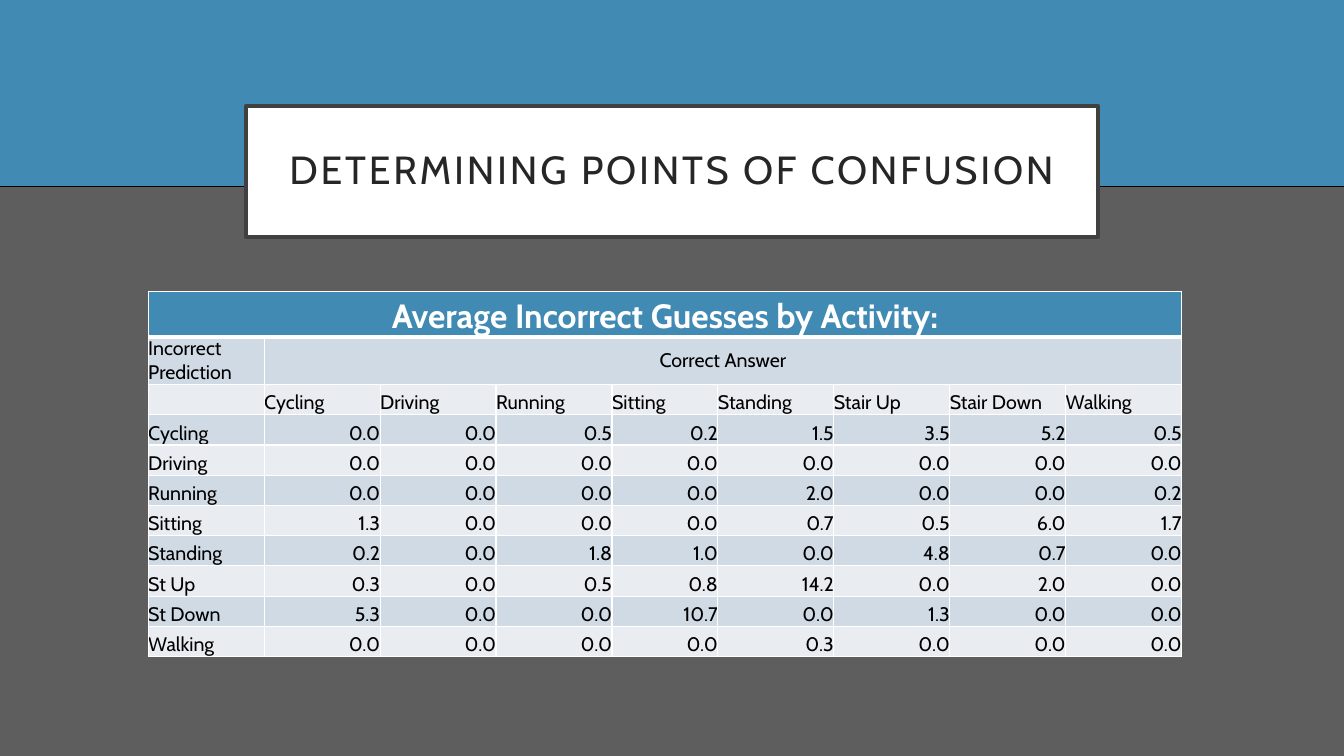
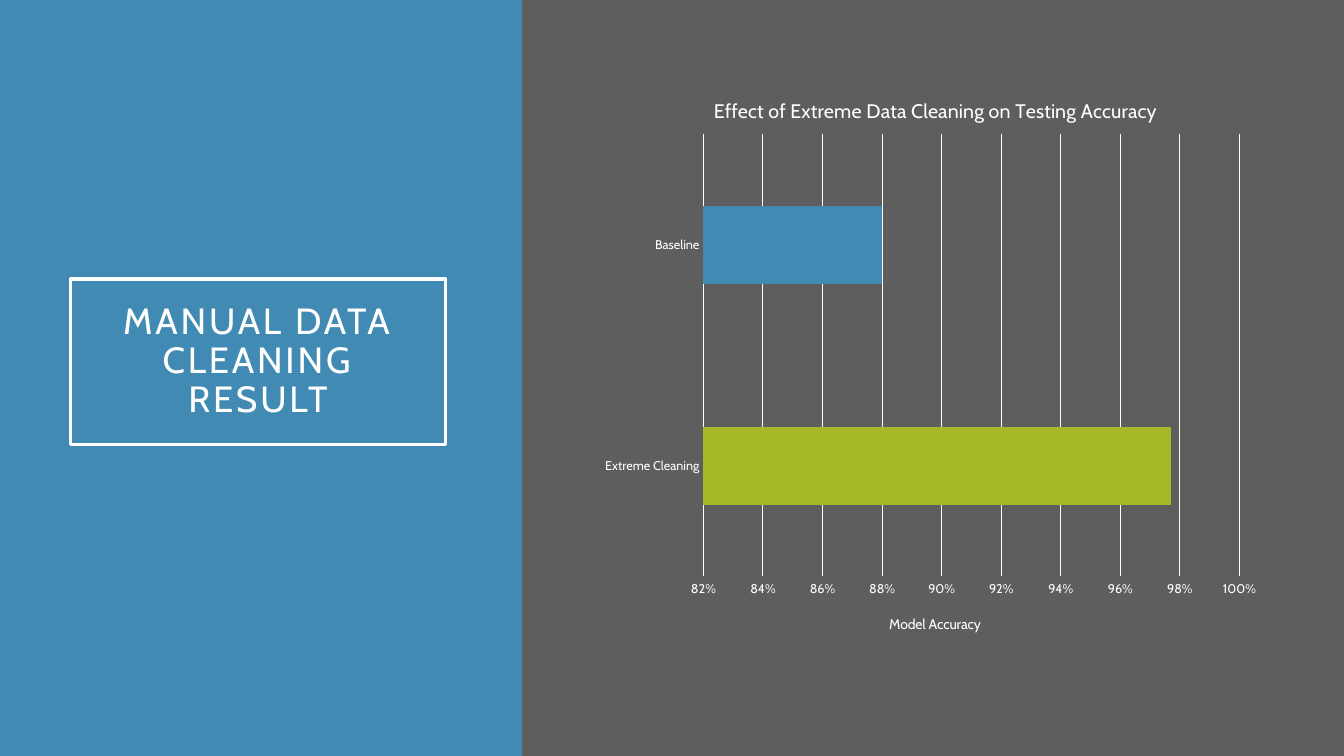
from lxml.etree import SubElement
from pptx import Presentation
from pptx.chart.data import CategoryChartData
from pptx.dml.color import RGBColor
from pptx.enum.chart import XL_CHART_TYPE as CHART, XL_TICK_MARK as TICK
from pptx.enum.shapes import MSO_SHAPE as SHAPE
from pptx.enum.text import MSO_ANCHOR as ANCHOR, MSO_AUTO_SIZE as AUTO, PP_ALIGN as ALIGN
from pptx.oxml.ns import qn
from pptx.oxml.xmlchemy import OxmlElement
from pptx.util import Inches, Pt

FONT = "Cabin"
BLUE, GRAY, GREEN = "418AB3", "5E5E5E", "A6B727"
WHITE, BLACK, DARK, INK = "FFFFFF", "000000", "404040", "262626"
BANDS = ("CFDAE5", "E9EDF2")

ACTIVITIES = ["Cycling", "Driving", "Running", "Sitting", "Standing", "Stair Up", "Stair Down", "Walking"]
GUESSES = [
    ("Cycling", "0.0 0.0 0.5 0.2 1.5 3.5 5.2 0.5"),
    ("Driving", "0.0 0.0 0.0 0.0 0.0 0.0 0.0 0.0"),
    ("Running", "0.0 0.0 0.0 0.0 2.0 0.0 0.0 0.2"),
    ("Sitting", "1.3 0.0 0.0 0.0 0.7 0.5 6.0 1.7"),
    ("Standing", "0.2 0.0 1.8 1.0 0.0 4.8 0.7 0.0"),
    ("St Up", "0.3 0.0 0.5 0.8 14.2 0.0 2.0 0.0"),
    ("St Down", "5.3 0.0 0.0 10.7 0.0 1.3 0.0 0.0"),
    ("Walking", "0.0 0.0 0.0 0.0 0.3 0.0 0.0 0.0"),
]


def rgb(value):
    """Turn a hex string into a colour."""
    return RGBColor.from_string(value)


def fill(target, color):
    """Give a shape, cell, format or background a solid fill."""
    target.fill.solid()
    target.fill.fore_color.rgb = rgb(color)


def outline(line, color, width):
    """Set a line's colour and width in points."""
    line.color.rgb = rgb(color)
    line.width = Pt(width)


def style_font(font, size, color, bold=False):
    """Apply the deck font with a size and colour."""
    font.name, font.size, font.bold = FONT, Pt(size), bold
    font.color.rgb = rgb(color)


def add_slide(prs, color):
    """Add a title-only slide with a plain background."""
    slide = prs.slides.add_slide(prs.slide_layouts[5])
    fill(slide.background, color)
    return slide


def add_panel(slide, left, top, width, height, color, line=None):
    """Add a flat rectangle, outlined when a line colour is given."""
    sp = slide.shapes.add_shape(SHAPE.RECTANGLE, Inches(left), Inches(top), Inches(width), Inches(height))
    sp.shadow.inherit = False
    fill(sp, color)
    if line:
        outline(sp.line, line, 1)
    else:
        sp.line.fill.background()


def set_title(slide, text, box, size, color, line, back=None):
    """Place the framed title above the panels added so far."""
    sp = slide.shapes.title
    slide.shapes._spTree.append(sp._element)
    sp.left, sp.top, sp.width, sp.height = map(Inches, box)
    if back:
        fill(sp, back)
    outline(sp.line, line, 2.5)
    tf = sp.text_frame
    tf.text = text
    tf.word_wrap, tf.auto_size, tf.vertical_anchor = True, AUTO.NONE, ANCHOR.MIDDLE
    tf.margin_left = tf.margin_right = tf.margin_top = tf.margin_bottom = Inches(0.2)
    p = tf.paragraphs[0]
    p.alignment, p.line_spacing = ALIGN.CENTER, 0.9
    r = p.runs[0]
    style_font(r.font, size, color)
    r.font._element.set("spc", "200")


def set_borders(cell, top=1, bottom=1):
    """Draw white borders, with top and bottom widths in points."""
    tc_pr = cell._tc.get_or_add_tcPr()
    for side, width in (("lnL", 1), ("lnR", 1), ("lnT", top), ("lnB", bottom)):
        ln = SubElement(tc_pr, qn(f"a:{side}"), w=str(Pt(width)))
        SubElement(SubElement(ln, qn("a:solidFill")), qn("a:srgbClr"), val=WHITE)


def set_cell(cell, text, align=ALIGN.LEFT, anchor=ANCHOR.BOTTOM, size=14, color=BLACK, bold=False):
    """Write and format one cell without margins."""
    cell.text = text
    cell.vertical_anchor = anchor
    cell.margin_left = cell.margin_right = cell.margin_top = cell.margin_bottom = 0
    p = cell.text_frame.paragraphs[0]
    p.alignment = align
    for r in p.runs:
        style_font(r.font, size, color, bold)
    if not text:
        p._p.get_or_add_endParaRPr().set("sz", str(size * 100))


def add_guess_table(slide):
    """Add the table of average incorrect guesses."""
    rows = [["Average Incorrect Guesses by Activity:"], ["Incorrect Prediction", "Correct Answer"], ["", *ACTIVITIES]]
    rows += [[name, *values.split()] for name, values in GUESSES]
    n_cols = len(ACTIVITIES) + 1
    table = slide.shapes.add_table(
        len(rows), n_cols, Inches(1.47), Inches(2.89), Inches(10.25), Inches(3.45)).table
    for i, col in enumerate(table.columns):
        col.width = Inches(1.05 if i == 4 else 1.15)
    for i, texts in enumerate(rows):
        table.rows[i].height = Inches(0.3 if i else 0.45)
        for j in range(n_cols):
            cell = table.cell(i, j)
            set_borders(cell, top=3 if i == 1 else 1, bottom=1 if i else 3)
            fill(cell, BANDS[(i - 1) % 2] if i else BLUE)
            if j < len(texts):
                set_cell(cell, texts[j], ALIGN.RIGHT if i > 2 and j else ALIGN.LEFT)
    set_cell(table.cell(0, 0), rows[0][0], ALIGN.CENTER, size=24, color=WHITE, bold=True)
    set_cell(table.cell(1, 1), rows[1][1], ALIGN.CENTER, ANCHOR.MIDDLE)
    table.cell(0, 0).merge(table.cell(0, n_cols - 1))
    table.cell(1, 1).merge(table.cell(1, n_cols - 1))


def place(element, **fractions):
    """Fix a chart part's position as fractions of the chart."""
    layout = element.find(qn("c:layout"))
    if layout is None:
        layout = OxmlElement("c:layout")
        element.insert(0 if element.find(qn("c:tx")) is None else 1, layout)
    manual = SubElement(layout, qn("c:manualLayout"))
    if "w" in fractions:
        SubElement(manual, qn("c:layoutTarget"), val="inner")
    for axis in "xy":
        SubElement(manual, qn(f"c:{axis}Mode"), val="edge")
    for key, value in fractions.items():
        SubElement(manual, qn(f"c:{key}"), val=str(value))


def set_chart_title(title, text, size, x, y):
    """Write, format and place a chart or axis title."""
    title.text_frame.text = text
    style_font(title.text_frame.paragraphs[0].runs[0].font, size, WHITE)
    place(title._element, x=x, y=y)


def add_accuracy_chart(slide):
    """Add the bar chart that compares testing accuracy."""
    data = CategoryChartData(number_format="0%")
    data.categories = ["Extreme Cleaning", "Baseline"]
    data.add_series("Series 1", (0.977, 0.88))
    chart = slide.shapes.add_chart(
        CHART.BAR_CLUSTERED, Inches(5.9), Inches(0.7), Inches(6.73), Inches(5.77), data).chart
    style_font(chart.font, 10, WHITE)
    chart.has_legend = False
    chart.has_title = True
    set_chart_title(chart.chart_title, "Effect of Extreme Data Cleaning on Testing Accuracy", 14, 0.17, 0.04)
    plot = chart.plots[0]
    plot.gap_width, plot.vary_by_categories = 182, False
    series = plot.series[0]
    fill(series.format, BLUE)
    fill(series.points[0].format, GREEN)
    cat, val = chart.category_axis, chart.value_axis
    for axis in (cat, val):
        axis.major_tick_mark = axis.minor_tick_mark = TICK.NONE
        style_font(axis.tick_labels.font, 9, WHITE)
    cat.has_major_gridlines = False
    outline(cat.format.line, WHITE, 0.75)
    val.minimum_scale, val.maximum_scale, val.major_unit = 0.82, 1, 0.02
    val.tick_labels.number_format = "0%"
    val.tick_labels.number_format_is_linked = False
    val.format.line.fill.background()
    val.has_major_gridlines = True
    outline(val.major_gridlines.format.line, WHITE, 0.75)
    set_chart_title(val.axis_title, "Model Accuracy", 10, 0.43, 0.93)
    place(chart._chartSpace.chart.plotArea, x=0.16, y=0.11, w=0.79, h=0.76)


def add_confusion_slide(prs):
    """Build the slide with the table."""
    slide = add_slide(prs, BLUE)
    add_panel(slide, -0.35, 1.85, 13.9, 5.69, GRAY, BLACK)
    set_title(slide, "DETERMINING POINTS OF CONFUSION", (2.44, 1.05, 8.45, 1.3), 28, INK, DARK, WHITE)
    add_guess_table(slide)


def add_cleaning_slide(prs):
    """Build the slide with the chart."""
    slide = add_slide(prs, GRAY)
    add_panel(slide, 0, 0, 5.18, 7.5, BLUE)
    set_title(slide, "MANUAL DATA CLEANING RESULT", (0.7, 2.77, 3.72, 1.64), 26, WHITE, WHITE)
    add_panel(slide, 5.2, 0, 8.14, 7.5, GRAY)
    add_accuracy_chart(slide)


def main():
    """Build and save the presentation."""
    prs = Presentation()
    prs.slide_width, prs.slide_height = Inches(13.33), Inches(7.5)
    add_confusion_slide(prs)
    add_cleaning_slide(prs)
    prs.save("out.pptx")


if __name__ == "__main__":
    main()
